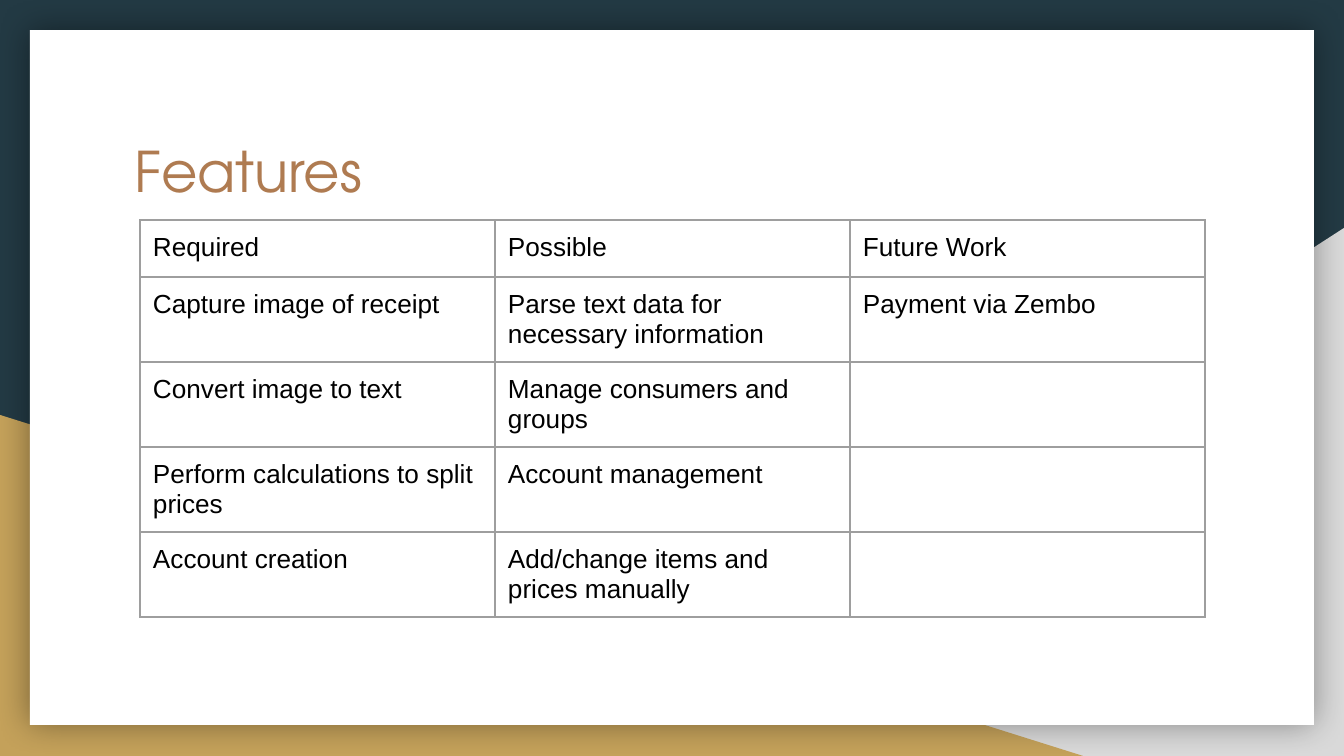
"""Build the Features slide: a titled card with a three-column feature table."""
from lxml import etree
from pptx import Presentation
from pptx import util as u
from pptx.dml.color import RGBColor
from pptx.enum import shapes, text
from pptx.oxml import ns

COLORS = {"backdrop": "233A44", "gray": "D9D9D9", "gold": "C4A15A", "card": "FFFFFF",
          "title": "AF7B51", "body": "000000", "border": "9E9E9E"}
FONTS = {"title": {"name": "TeX Gyre Adventor", "size": u.Pt(30), "bold": False},
         "body": {"name": "Arial", "size": u.Pt(14), "bold": False}}
TITLE = "Features"
FEATURES = [
    ("Required", "Possible", "Future Work"),
    ("Capture image of receipt", "Parse text data for necessary information", "Payment via Zembo"),
    ("Convert image to text", "Manage consumers and groups", ""),
    ("Perform calculations to split prices", "Account management", ""),
    ("Account creation", "Add/change items and prices manually", ""),
]
BACKDROP = [
    ("RIGHT_TRIANGLE", (527, 228, 817, 528), "gray", True),
    ("RIGHT_TRIANGLE", (0, 415, 1083, 341), "gold", False),
    ("RECTANGLE", (30, 30, 1284, 695), "card", False),
]
SLIDE_SIZE = (1344, 756)
TITLE_BOX = (121, 124, 1103, 140)
TABLE_LEFT, TABLE_TOP, COLUMN_WIDTH = 140, 220, 355
HEADER_HEIGHT, FEATURE_HEIGHT = 57, 85
INSET = 13
SCALE = u.Inches(10) / SLIDE_SIZE[0]
MARGINS = ("margin_left", "margin_top", "margin_right", "margin_bottom")


def px(length):
    return u.Emu(round(length * SCALE))


def rgb(role):
    return RGBColor.from_string(COLORS[role])


def assign(target, values):
    for name, value in values.items():
        setattr(target, name, value)


def child(parent, tag, **attributes):
    return etree.SubElement(parent, ns.qn(tag), attributes)


def write(frame, words, role):
    frame.text = words
    font = frame.paragraphs[0].font
    assign(font, FONTS[role])
    font.color.rgb = rgb(role)


def add_backdrop(slide):
    slide.background.fill.solid()
    slide.background.fill.fore_color.rgb = rgb("backdrop")
    for preset, box, role, flipped in BACKDROP:
        panel = slide.shapes.add_shape(shapes.MSO_SHAPE[preset], *map(px, box))
        panel.shadow.inherit = False
        panel.fill.solid()
        panel.fill.fore_color.rgb = rgb(role)
        panel.line.fill.background()
        if flipped:
            panel._element.spPr.xfrm.set("flipH", "1")
    add_glow(panel)


def add_glow(card):
    effects = card._element.spPr.find(ns.qn("a:effectLst"))
    shadow = child(effects, "a:outerShdw", blurRad=str(u.Pt(18)), dist="0", dir="0",
                   algn="ctr", rotWithShape="0")
    child(child(shadow, "a:srgbClr", val="000000"), "a:alpha", val="40000")


def add_title(slide):
    title = slide.shapes.title
    slide.shapes._spTree.append(title._element)
    assign(title, dict(zip(("left", "top", "width", "height"), map(px, TITLE_BOX))))
    frame = title.text_frame
    assign(frame, dict.fromkeys(MARGINS, px(INSET)))
    assign(frame, {"word_wrap": True, "vertical_anchor": text.MSO_ANCHOR.TOP})
    write(frame, TITLE, "title")
    frame.paragraphs[0].alignment = text.PP_ALIGN.LEFT


def add_borders(cell, row):
    heavy = {0: "a:lnB", 1: "a:lnT"}.get(row)
    properties = cell._tc.get_or_add_tcPr()
    for side in ("a:lnL", "a:lnR", "a:lnT", "a:lnB"):
        width = u.Pt(1.5 if side == heavy else 0.75)
        line = child(properties, side, w=str(width))
        child(child(line, "a:solidFill"), "a:srgbClr", val=COLORS["border"])


def add_features(slide):
    rows, columns = len(FEATURES), len(FEATURES[0])
    heights = [HEADER_HEIGHT] + [FEATURE_HEIGHT] * (rows - 1)
    table = slide.shapes.add_table(rows, columns, px(TABLE_LEFT), px(TABLE_TOP),
                                   px(COLUMN_WIDTH * columns), px(sum(heights))).table
    assign(table, {"first_row": False, "horz_banding": False})
    for column in table.columns:
        column.width = px(COLUMN_WIDTH)
    for row, (height, features) in enumerate(zip(heights, FEATURES)):
        table.rows[row].height = px(height)
        for column, feature in enumerate(features):
            cell = table.cell(row, column)
            assign(cell, dict.fromkeys(MARGINS, px(INSET)))
            add_borders(cell, row)
            cell.fill.background()
            write(cell.text_frame, feature, "body")


def main():
    deck = Presentation()
    deck.slide_width, deck.slide_height = map(px, SLIDE_SIZE)
    slide = deck.slides.add_slide(deck.slide_layouts.get_by_name("Title Only"))
    add_backdrop(slide)
    add_title(slide)
    add_features(slide)
    deck.save("out.pptx")


if __name__ == "__main__":
    main()
